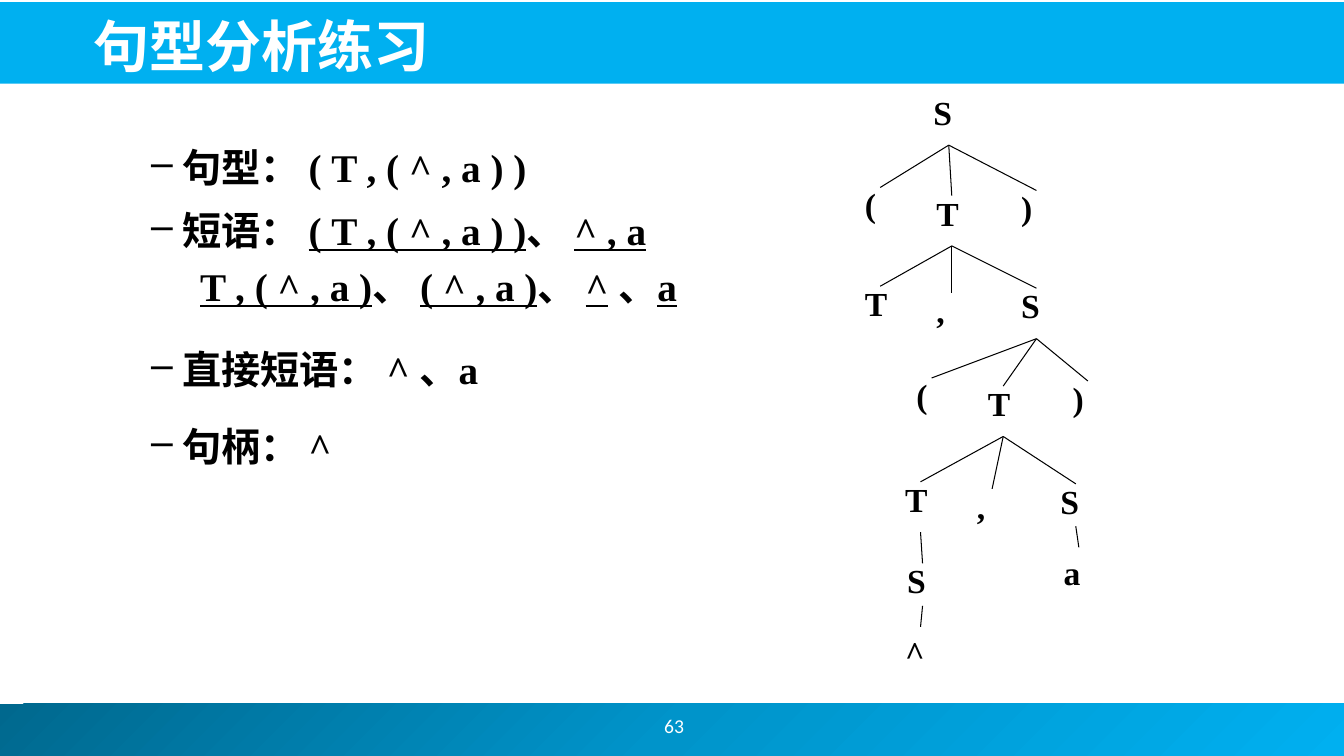
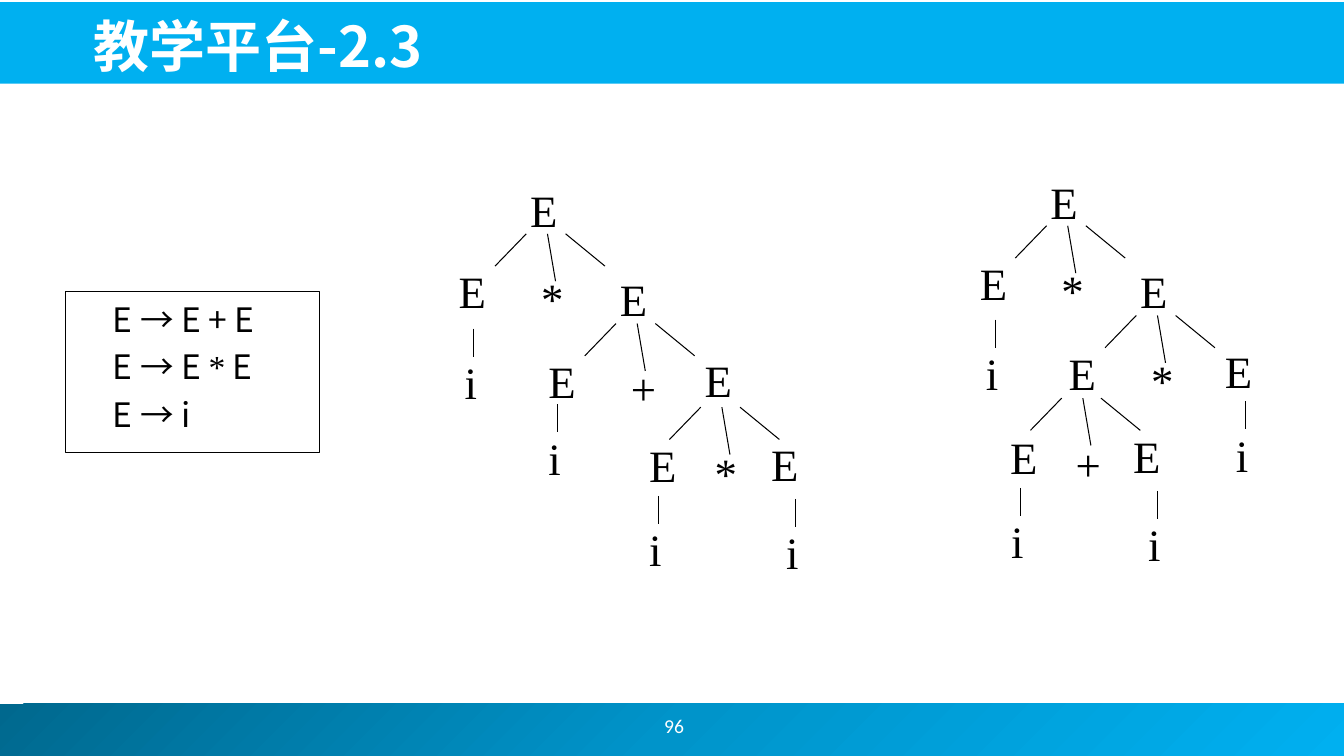
from copy import deepcopy
from dataclasses import dataclass

from lxml.etree import SubElement
from pptx import Presentation
from pptx.dml.color import RGBColor as Color
from pptx.enum.shapes import MSO_CONNECTOR as Connector, MSO_SHAPE as Preset
from pptx.enum.text import MSO_ANCHOR as Anchor, MSO_AUTO_SIZE as AutoSize, PP_ALIGN as Align
from pptx.oxml.ns import qn
from pptx.util import Inches, Pt

COLUMNS, ROWS = 133.3, 75


def cells(*lengths):
    return [Inches(length / 10) for length in lengths]


@dataclass(frozen=True)
class Theme:
    white: str = "FFFFFF"
    ink: str = "000000"
    band: str = "00B0F0"
    footer: tuple = ("00688E", "0094CA", "00B0F0")
    sans: str = "Noto Sans CJK JP"
    serif: str = "Times New Roman"
    number_font: str = "Calibri"
    title_size: int = 40
    symbol_size: int = 32
    phrase_size: int = 28
    body_size: int = 24
    number_size: int = 14
    line_width: float = 0.75


THEME = Theme()


@dataclass
class Node:
    text: str
    x: float
    y: float
    children: tuple = ()
    leave: float = 5.8
    arrive: float = 0.8
    shift: tuple = (0, 0)


def write(paragraph, text, font=THEME.sans, size=THEME.body_size, color=THEME.ink,
          bold=False, underline=False, align=None):
    if align is not None:
        paragraph.alignment = align
    run = paragraph.add_run()
    run.text = text
    run.font.name = font
    run.font.size = Pt(size)
    run.font.bold = bold
    run.font.underline = underline
    run.font.color.rgb = Color.from_string(color)
    SubElement(run.font._element, qn("a:ea"), typeface=THEME.sans)


def indent(paragraph, left, first=0, bullet=None):
    properties = paragraph._p.get_or_add_pPr()
    margin, hanging = cells(left, first)
    properties.set("marL", str(margin))
    properties.set("indent", str(hanging))
    if bullet:
        SubElement(properties, qn("a:buChar"), char=bullet)


class Deck:
    def __init__(self, theme):
        self.theme = theme
        self.presentation = Presentation()
        self.presentation.slide_width = Inches(13.33)
        self.presentation.slide_height = Inches(7.5)
        self.slide = None

    def start(self, title, number):
        self.slide = self.presentation.slides.add_slide(self.presentation.slide_layouts[5])
        footer = self.rectangle(0, 69.8, COLUMNS, ROWS - 69.8)
        self.shade(footer)
        band = self.rectangle(0, 0.2, COLUMNS, 8.1)
        band.fill.solid()
        band.fill.fore_color.rgb = Color.from_string(self.theme.band)
        self.title(title)
        frame = self.frame(52.4, 69.5, 28.9, 5)
        frame.vertical_anchor = Anchor.MIDDLE
        write(frame.paragraphs[0], str(number), font=self.theme.number_font,
              size=self.theme.number_size, color=self.theme.white, align=Align.CENTER)

    def title(self, text):
        shape = self.slide.shapes.title
        shape.left, shape.top, shape.width, shape.height = cells(8.3, 0.5, 120.6, 7.9)
        self.slide.shapes.element.append(shape.element)
        frame = shape.text_frame
        frame.auto_size = AutoSize.NONE
        frame.vertical_anchor = Anchor.BOTTOM
        frame.paragraphs[0].line_spacing = 0.9
        write(frame.paragraphs[0], text, size=self.theme.title_size,
              color=self.theme.white, bold=True, align=Align.LEFT)

    def rectangle(self, x, y, width, height):
        shape = self.slide.shapes.add_shape(Preset.RECTANGLE, *cells(x, y, width, height))
        shape.shadow.inherit = False
        shape.line.fill.background()
        return shape

    def shade(self, shape):
        shape.fill.gradient()
        stops = shape.element.spPr.find(".//" + qn("a:gsLst"))
        stops.insert(1, deepcopy(stops[0]))
        for index, (stop, color) in enumerate(zip(shape.fill.gradient_stops, self.theme.footer)):
            stop.color.rgb = Color.from_string(color)
            stop.position = index / 2
        shape.fill.gradient_angle = 315

    def frame(self, x, y, width, height):
        frame = self.slide.shapes.add_textbox(*cells(x, y, width, height)).text_frame
        frame.word_wrap = True
        return frame

    def line(self, x1, y1, x2, y2):
        connector = self.slide.shapes.add_connector(Connector.STRAIGHT, *cells(x1, y1, x2, y2))
        connector.line.color.rgb = Color.from_string(self.theme.ink)
        connector.line.width = Pt(self.theme.line_width)
        SubElement(connector.element.spPr, qn("a:effectLst"))

    def phrases(self, y, width, *rows):
        frame = self.frame(9, y, width, 5.5 * len(rows))
        for index, pieces in enumerate(rows):
            paragraph = frame.add_paragraph() if index else frame.paragraphs[0]
            if index:
                indent(paragraph, 9.86)
                paragraph.space_before = Pt(5.6)
            else:
                indent(paragraph, 8.1, -3.1, "–")
            paragraph.line_spacing = Pt(34.4)
            for position, piece in enumerate(pieces):
                if piece:
                    write(paragraph, piece, font=self.theme.serif, size=self.theme.phrase_size,
                          bold=True, underline=position % 2 == 1)

    def grammar(self, x, y, width, height, rules):
        shape = self.rectangle(x, y, width, height)
        shape.fill.background()
        shape.line.color.rgb = Color.from_string(self.theme.ink)
        shape.line.width = Pt(self.theme.line_width)
        frame = shape.text_frame
        frame.vertical_anchor = Anchor.TOP
        frame.margin_top = Inches(0.08)
        for index, pieces in enumerate(rules):
            paragraph = frame.add_paragraph() if index else frame.paragraphs[0]
            indent(paragraph, 3.7)
            paragraph.line_spacing = Pt(28.8)
            if index:
                paragraph.space_before = Pt(4.8)
            for piece in pieces:
                font = self.theme.serif if piece == "*" else self.theme.sans
                write(paragraph, piece, font=font, align=Align.LEFT)

    def symbol(self, node, width, height, **style):
        frame = self.frame(node.x, node.y, width, height)
        write(frame.paragraphs[0], node.text, font=self.theme.serif, **style)

    def joined_tree(self, node):
        self.symbol(node, 5, 5, size=self.theme.body_size, bold=True)
        for child in node.children:
            self.line(node.x + 2.5, node.y + node.leave, child.x + 2.5, child.y + node.arrive)
            self.joined_tree(child)

    def forked_tree(self, node):
        self.symbol(node, 5.3 if len(node.children) == 3 else 3.3, 6.4,
                    size=self.theme.symbol_size)
        if len(node.children) == 3:
            x, y = node.x + node.shift[0], node.y + node.shift[1]
            for start, end, drop in ((0.6, -2.5, 8.8), (2.7, 3.5, 10.3), (4.5, 8.4, 8.8)):
                self.line(x + start, y + 5.6, x + end, y + drop)
        for child in node.children:
            if len(node.children) == 1:
                self.line(child.x + 1.9, child.y - 2.1, child.x + 1.9, child.y + 0.7)
            self.forked_tree(child)


def sentence_slide(deck):
    deck.start("句型分析练习", 63)
    deck.phrases(13.6, 52.1, ["句型： ( T , ( ^ , a ) )"])
    deck.phrases(
        19.9, 68.5,
        ["短语： ", "( T , ( ^ , a ) )", "、 ", "^ , a"],
        ["", "T , ( ^ , a )", "、 ", "( ^ , a )", "、 ", "^", " 、", "a"],
    )
    deck.phrases(33.7, 57.8, ["直接短语： ^ 、a"])
    deck.phrases(41.3, 57.8, ["句柄： ^"])

    caret = Node("S", 89, 55.1, (Node("^", 88.8, 62.2),), leave=5, arrive=0)
    letter = Node("S", 104.2, 47.2, (Node("a", 104.5, 54.3),), leave=5, arrive=0)
    inner_list = Node("T", 97, 37.5, (
        Node("T", 88.8, 47, (caret,)), Node(",", 95.9, 47.7), letter))
    inner = Node("S", 100.3, 27.8, (
        Node("(", 89.9, 36.7), inner_list, Node(")", 105.4, 37)))
    outer_list = Node("T", 91.9, 18.6, (
        Node("T", 84.8, 27.6), Node(",", 91.9, 28.3), inner))
    deck.joined_tree(Node("S", 91.6, 8.6, (
        Node("(", 84.8, 17.8), outer_list, Node(")", 100.3, 18.1))))


def leaf(x, y, leaf_x, leaf_y):
    return Node("E", x, y, (Node("i", leaf_x, leaf_y),))


def ambiguity_slide(deck):
    deck.start("教学平台-2.3", 96)
    deck.grammar(6.5, 28.9, 25.2, 16, [["E → E + E"], ["E → E ", "*", " E"], ["E → i"]])

    product = Node("E", 68.9, 34.5, (
        leaf(63.4, 42.9, 63.4, 51.3), Node("*", 69.9, 43.7),
        leaf(75.5, 42.8, 77, 51.6)), shift=(0, 0.3))
    total = Node("E", 60.5, 26.5, (
        leaf(53.4, 34.6, 53.4, 42.2), Node("+", 61.6, 35.3), product))
    deck.forked_tree(Node("E", 51.6, 17.6, (
        leaf(44.5, 25.7, 45.1, 34.7), Node("*", 52.7, 26.4), total)))

    total = Node("E", 105, 33.8, (
        leaf(99.2, 42.1, 99.3, 50.5), Node("+", 105.7, 42.8),
        leaf(111.4, 42, 112.9, 50.8)), shift=(-0.3, 0.1))
    product = Node("E", 112.1, 25.7, (
        total, Node("*", 113.2, 34.5), leaf(120.5, 33.6, 121.6, 41.9)))
    deck.forked_tree(Node("E", 103.2, 16.8, (
        leaf(96.2, 24.9, 96.8, 33.8), Node("*", 104.3, 25.6), product)))


def main():
    deck = Deck(THEME)
    sentence_slide(deck)
    ambiguity_slide(deck)
    deck.presentation.save("out.pptx")


if __name__ == "__main__":
    main()
